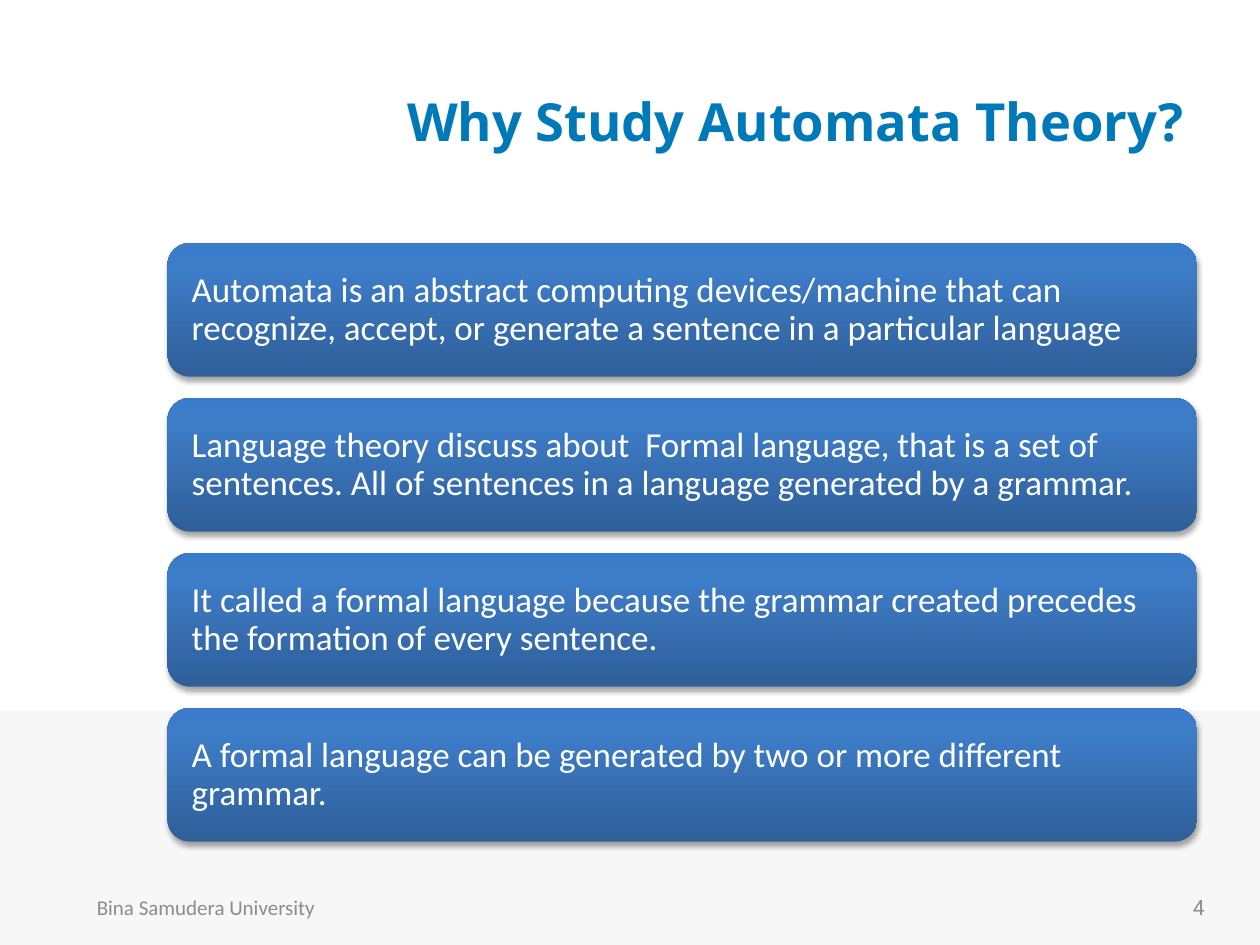
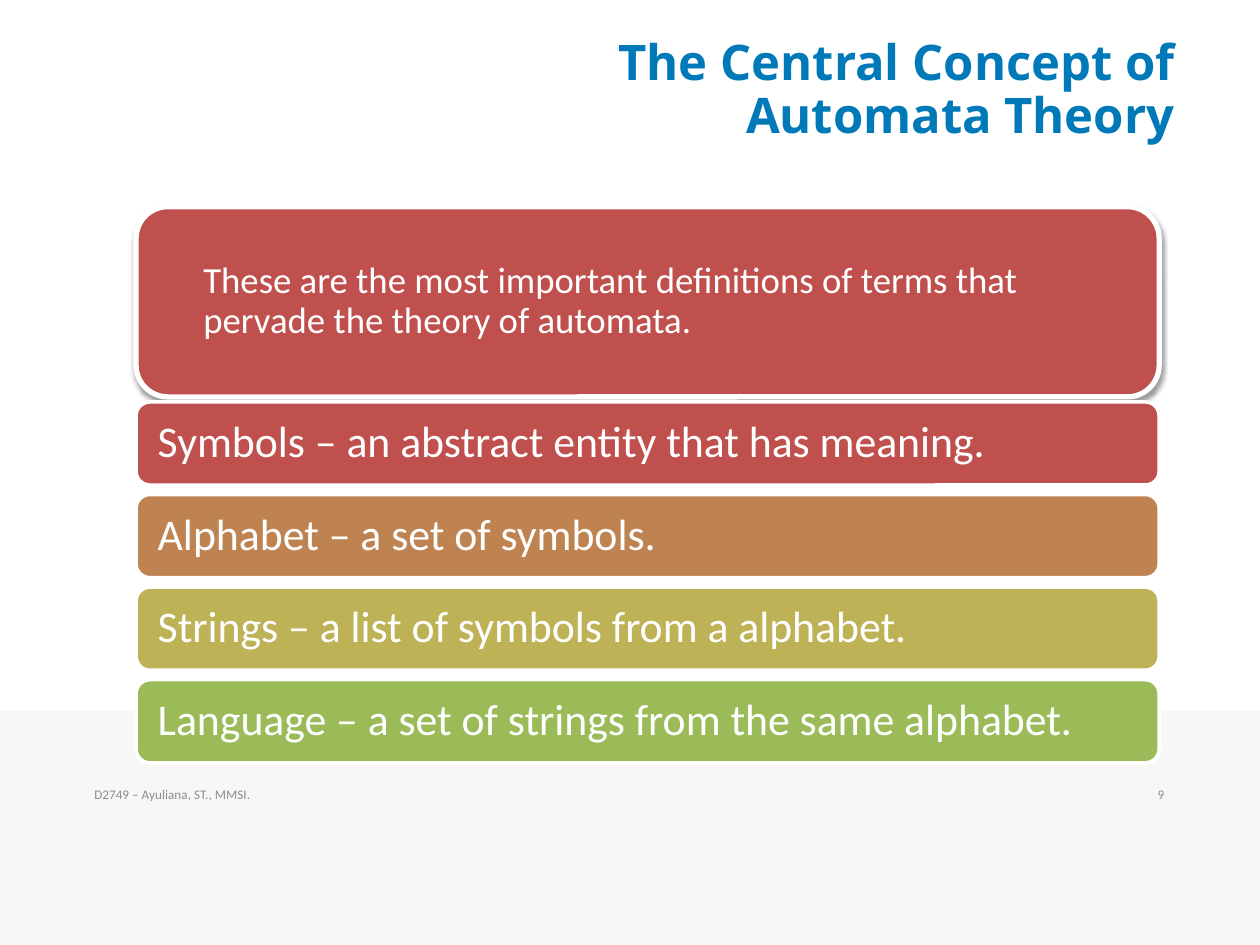
from pptx import Presentation
from pptx.dml.color import RGBColor
from pptx.enum.shapes import MSO_SHAPE as Shape
from pptx.enum.text import MSO_ANCHOR as Anchor, MSO_AUTO_SIZE as AutoSize, PP_ALIGN as Align
from pptx.oxml import parse_xml
from pptx.oxml.ns import nsdecls, qn
from pptx.util import Inches, Pt

hex_color = RGBColor.from_string
BLUE, WHITE, GREY, BAND, RED = "0079B8", "FFFFFF", "8C8C8C", "F7F7F7", "C0504D"
BLUE_GRADIENT = [(0, "2F5F99"), (80, "3D7CC7"), (100, "3A7CCB")]


def write(shape, text, size, color, font="Calibri", align=Align.LEFT, bold=False,
          anchor=Anchor.MIDDLE, spacing=1.0):
    frame = shape.text_frame
    frame.text = text
    frame.word_wrap = True
    frame.auto_size = AutoSize.NONE
    frame.vertical_anchor = anchor
    for para in frame.paragraphs:
        para.alignment = align
        para.line_spacing = spacing
        for span in para.runs:
            span.font.name = font
            span.font.size = Pt(size)
            span.font.bold = bold
            span.font.color.rgb = hex_color(color)


def add_card(page, at, text, size, inset, fill=None, border=0, shadow=0):
    """Add a rounded card; without a fill it gets the blue gradient, shadow is its opacity in percent."""
    card = page.shapes.add_shape(Shape.ROUNDED_RECTANGLE, *map(Inches, at))
    card.shadow.inherit = False
    properties = card.element.spPr
    if fill:
        card.fill.solid()
        card.fill.fore_color.rgb = hex_color(fill)
    else:
        stops = "".join(f'<a:gs pos="{position * 1000}"><a:srgbClr val="{color}"/></a:gs>'
                        for position, color in BLUE_GRADIENT)
        properties.find(qn("a:prstGeom")).addnext(parse_xml(
            f'<a:gradFill {nsdecls("a")} rotWithShape="1"><a:gsLst>{stops}</a:gsLst>'
            '<a:lin ang="16200000" scaled="0"/></a:gradFill>'))
    if border:
        card.line.color.rgb = hex_color(WHITE)
        card.line.width = Pt(border)
    else:
        card.line.fill.background()
    if shadow:
        properties.find(qn("a:effectLst")).append(parse_xml(
            f'<a:outerShdw {nsdecls("a")} blurRad="{Pt(3.1)}" dist="{Pt(1.8)}" dir="5400000" '
            f'rotWithShape="0"><a:srgbClr val="000000"><a:alpha val="{shadow * 1000}"/>'
            '</a:srgbClr></a:outerShdw>'))
    write(card, text, size, WHITE, spacing=0.9)
    card.text_frame.margin_left = card.text_frame.margin_right = Inches(inset)


deck = Presentation()
deck.slide_width, deck.slide_height = Inches(10), Inches(7.5)
title_only = deck.slide_layouts[5]

# Titles and footers: (text, position, ...)
slides = [
    dict(title="Why Study Automata Theory?", title_at=(1.77, 0.33, 7.73, 1.25),
         title_size=30, anchor=Anchor.MIDDLE, spacing=1.0, footer_size=12,
         footer=("Bina Samudera University", (0.67, 7, 2.33, 0.4)),
         number=("4", (7.33, 7, 2.33, 0.4), "Roboto")),
    dict(title="The Central Concept of\nAutomata Theory", title_at=(2.5, 0.25, 6.92, 0.83),
         title_size=28, anchor=Anchor.TOP, spacing=0.9, footer_size=7.5,
         footer=("D2749 – Ayuliana, ST., MMSI.", (0.65, 6.17, 5.54, 0.26)),
         number=("9", (8.78, 6.17, 0.56, 0.26), "Calibri")),
]
pages = []
for content in slides:
    page = deck.slides.add_slide(title_only)
    pages.append(page)
    title = page.shapes.title
    title.left, title.top, title.width, title.height = map(Inches, content["title_at"])
    write(title, content["title"], content["title_size"], BLUE, "Open Sans", Align.RIGHT,
          True, content["anchor"], content["spacing"])
    text, at = content["footer"]
    write(page.shapes.add_textbox(*map(Inches, at)), text, content["footer_size"], GREY)
    text, at, font = content["number"]
    write(page.shapes.add_textbox(*map(Inches, at)), text, content["footer_size"], GREY,
          font, Align.RIGHT)
why_page, concept_page = pages

# The grey band moves to the master, behind everything else
band = why_page.shapes.add_shape(Shape.RECTANGLE, 0, Inches(5.64), Inches(10), Inches(1.86))
band.shadow.inherit = False
band.fill.solid()
band.fill.fore_color.rgb = hex_color(BAND)
band.line.fill.background()
band.element.nvSpPr.cNvPr.set("id", "100")
deck.slide_master.shapes.element.insert(2, band.element)

# Slide 1: four reasons
reasons = [
    "Automata is an abstract computing devices/machine that can recognize, accept, "
    "or generate a sentence in a particular language",
    "Language theory discuss about  Formal language, that is a set of sentences. "
    "All of sentences in a language generated by a grammar.",
    "It called a formal language because the grammar created precedes "
    "the formation of every sentence.",
    "A formal language can be generated by two or more different grammar.",
]
for row, reason in enumerate(reasons):
    add_card(why_page, (1.33, 1.93 + 1.23 * row, 8.17, 1.06), reason, 20, 0.14, shadow=35)

# Slide 2: introduction and four terms
add_card(concept_page, (1.08, 1.64, 8.12, 1.51),
         "These are the most important definitions of terms that pervade the theory of automata.",
         21, 0.46, RED, border=3, shadow=38)
terms = [
    ("Symbols – an abstract entity that has meaning.", RED),
    ("Alphabet – a set of symbols.", "BE8351"),
    ("Strings – a list of symbols from a alphabet.", "BDB255"),
    ("Language – a set of strings from the same alphabet.", "9BBB59"),
]
for row, (term, color) in enumerate(terms):
    add_card(concept_page, (1.08, 3.19 + 0.735 * row, 8.12, 0.66), term, 25, 0.14, color, border=2)

deck.save("out.pptx")
